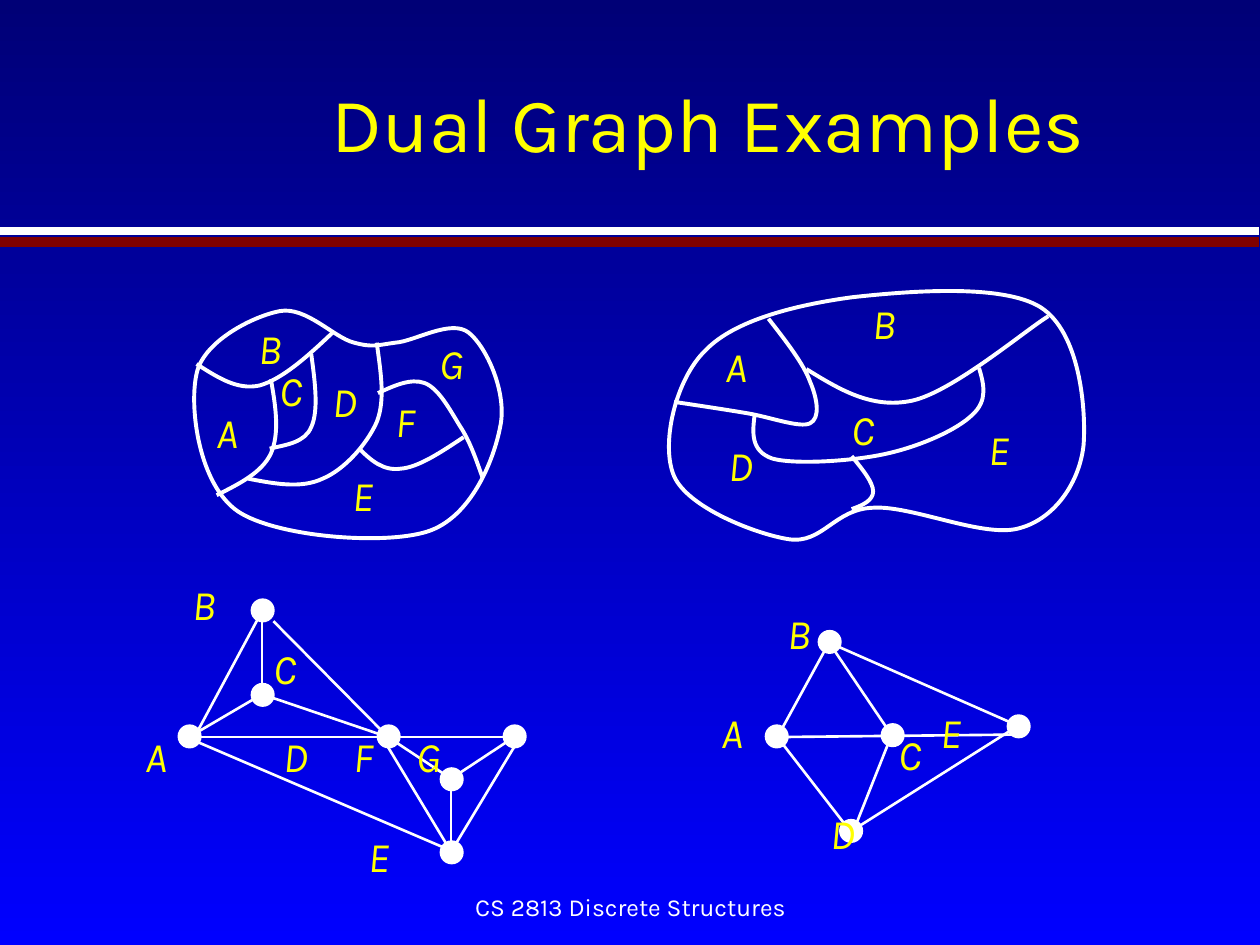
from lxml import etree
from pptx import Presentation, util as u
from pptx.dml.color import RGBColor
from pptx.enum import shapes as sh, text as tx
from pptx.oxml.ns import qn

# The slide is a grid of 1000 columns by 750 rows.
CELL = u.Inches(0.01)
COLUMNS, ROWS = 1000, 750
WHITE, YELLOW, MAROON = "FFFFFF", "FFFF00", "800000"
FONT = "Karla"
LABEL_SIZE = (40, 50)
VERTEX = 17

# Each curve is a start point followed by triples of Bezier points.
MAP_LEFT = {
    "origin": (150, 240),
    "outline": [(164, 32), (149, 34), (146, 36), (131, 32), (115, 28), (93, 3), (72, 7),
                (51, 11), (11, 31), (6, 57), (0, 84), (8, 145), (39, 166),
                (69, 186), (154, 193), (189, 182), (224, 171), (242, 125), (247, 99),
                (253, 72), (236, 35), (222, 24), (208, 13), (179, 31), (164, 32)],
    "borders": [
        [(6, 49), (22, 59), (38, 70), (56, 66), (74, 61), (94, 43), (114, 24)],
        [(65, 61), (69, 83), (72, 104), (65, 120), (58, 135), (40, 144), (22, 153)],
        [(64, 116), (78, 113), (92, 111), (97, 99), (103, 86), (100, 63), (97, 41)],
        [(47, 140), (68, 144), (89, 148), (106, 140), (123, 133), (141, 113), (149, 95),
         (156, 77), (152, 55), (149, 32)],
        [(150, 72), (163, 66), (176, 60), (187, 64), (198, 68), (207, 85), (215, 98),
         (223, 110), (228, 125), (233, 139)],
        [(135, 116), (144, 125), (154, 134), (168, 132), (182, 131), (200, 119), (218, 107)],
    ],
    "labels": {"A": (12, 78), "B": (45, 11), "C": (62, 44), "D": (104, 53),
               "E": (120, 128), "F": (154, 69), "G": (189, 23)},
}
MAP_RIGHT = {
    "origin": (520, 220),
    "outline": [(40, 58), (63, 34), (112, 22), (156, 16), (201, 11), (276, 5), (306, 24),
                (337, 44), (342, 104), (340, 133), (337, 162), (318, 191), (290, 199),
                (262, 208), (204, 181), (173, 183), (142, 184), (133, 212), (106, 208),
                (80, 204), (26, 183), (15, 158), (4, 133), (16, 81), (40, 58)],
    "borders": [
        [(15, 99), (35, 102), (55, 105), (73, 108), (91, 111), (115, 120), (123, 116),
         (131, 112), (129, 97), (123, 83), (118, 69), (104, 51), (90, 33)],
        [(120, 73), (146, 89), (172, 105), (204, 98), (236, 91), (294, 42), (312, 31)],
        [(79, 109), (77, 124), (76, 138), (93, 144), (111, 149), (158, 146), (184, 140),
         (211, 134), (240, 121), (252, 109), (264, 98), (261, 85), (257, 72)],
        [(156, 142), (165, 153), (173, 163), (173, 170), (173, 177), (165, 181), (156, 184)],
    ],
    "labels": {"A": (46, 45), "B": (163, 11), "C": (146, 95), "D": (48, 124),
               "E": (255, 111)},
}
GRAPH_LEFT = {
    "origin": (100, 450),
    "vertices": [(42, 126), (100, 26), (100, 93), (200, 126), (250, 218), (250, 160),
                 (300, 126)],
    "edges": [(50, 135, 108, 101), (108, 35, 108, 110), (50, 143, 108, 35),
              (117, 43, 208, 135), (108, 101, 208, 135), (50, 135, 308, 135),
              (208, 143, 258, 226), (208, 135, 258, 168), (308, 135, 258, 168),
              (308, 143, 258, 226), (258, 176, 258, 226), (50, 136, 260, 226)],
    "labels": {"A": (6, 125), "B": (43, 4), "C": (107, 55), "D": (115, 125),
               "E": (183, 204), "F": (171, 125), "G": (221, 125)},
}
GRAPH_RIGHT = {
    "origin": (560, 470),
    "vertices": [(48, 106), (90, 31), (140, 105), (107, 181), (240, 98)],
    "edges": [(57, 115, 98, 40), (98, 40, 146, 111), (98, 40, 248, 106),
              (55, 115, 247, 113), (147, 115, 114, 198), (57, 115, 115, 190),
              (115, 190, 248, 106)],
    "labels": {"A": (3, 86), "B": (55, 7), "C": (143, 103), "D": (89, 166),
               "E": (177, 86)},
}


def color(value):
    return RGBColor.from_string(value)


def cells(*lengths):
    return [round(length * CELL) for length in lengths]


def shift(origin, point):
    return cells(origin[0] + point[0], origin[1] + point[1])


def set_line(line, value, width):
    line.color.rgb = color(value)
    line.width = u.Pt(width)


def write(frame, words, value, align=tx.PP_ALIGN.CENTER, **format_values):
    """Fill a text frame with one formatted paragraph."""
    frame.text = words
    paragraph = frame.paragraphs[0]
    paragraph.alignment = align
    font = paragraph.runs[0].font
    font.color.rgb = color(value)
    for name, setting in {"name": FONT, **format_values}.items():
        setattr(font, name, setting)


def add_line(slide, start, end, value, width):
    connector = slide.shapes.add_connector(sh.MSO_CONNECTOR.STRAIGHT, *start, *end)
    set_line(connector.line, value, width)
    etree.SubElement(connector._element.spPr, qn("a:effectLst"))


def add_curve(slide, origin, points, close=False):
    """Draw a freeform, turning each three line segments into one Bezier segment."""
    start, *rest = [shift(origin, point) for point in points]
    builder = slide.shapes.build_freeform(*start)
    builder.add_line_segments(rest, close=close)
    curve = builder.convert_to_shape()
    segments = list(curve._element.iter(qn("a:lnTo")))
    for first in range(0, len(points) - 1, 3):
        bezier = etree.Element(qn("a:cubicBezTo"))
        segments[first].addprevious(bezier)
        for segment in segments[first:first + 3]:
            bezier.append(segment[0])
            segment.getparent().remove(segment)
    curve.fill.background()
    curve.shadow.inherit = False
    set_line(curve.line, WHITE, 2.25)


def add_labels(slide, origin, labels):
    for letter, corner in labels.items():
        box = slide.shapes.add_textbox(*shift(origin, corner), *cells(*LABEL_SIZE))
        write(box.text_frame, letter, YELLOW, tx.PP_ALIGN.LEFT, size=u.Pt(24), italic=True)


def add_map(slide, origin, outline, borders, labels):
    add_curve(slide, origin, outline, close=True)
    for border in borders:
        add_curve(slide, origin, border)
    add_labels(slide, origin, labels)


def add_graph(slide, origin, vertices, edges, labels):
    for corner in vertices:
        dot = slide.shapes.add_shape(sh.MSO_SHAPE.OVAL, *shift(origin, corner),
                                     *cells(VERTEX, VERTEX))
        dot.fill.solid()
        dot.fill.fore_color.rgb = color(WHITE)
        dot.shadow.inherit = False
        set_line(dot.line, WHITE, 1.5)
    for edge in edges:
        add_line(slide, shift(origin, edge[:2]), shift(origin, edge[2:]), WHITE, 1.5)
    add_labels(slide, origin, labels)


def add_frame(slide):
    """Set the background, rules, title and footer."""
    fill = slide.background.fill
    fill.gradient()
    fill.gradient_angle = 270
    for stop, value in zip(fill.gradient_stops, ("000076", "0000FF")):
        stop.color.rgb = color(value)
    for row, value, width in ((183, WHITE, 4.5), (192, MAROON, 6)):
        add_line(slide, cells(0, row), cells(COLUMNS - 1, row), value, width)

    title = slide.shapes.title
    title.left, title.top, title.width, title.height = cells(200, 35, 725, 123)
    title.text_frame.vertical_anchor = tx.MSO_ANCHOR.MIDDLE
    write(title.text_frame, "Dual Graph Examples", YELLOW, size=u.Pt(44))

    footer = slide.shapes.add_textbox(*cells(342, 695, 317, 50))
    footer.text_frame.vertical_anchor = tx.MSO_ANCHOR.MIDDLE
    write(footer.text_frame, "CS 2813 Discrete Structures", WHITE, size=u.Pt(14))


def main():
    deck = Presentation()
    deck.slide_width, deck.slide_height = cells(COLUMNS, ROWS)
    slide = deck.slides.add_slide(deck.slide_layouts[5])
    add_frame(slide)
    for regions in (MAP_LEFT, MAP_RIGHT):
        add_map(slide, **regions)
    for dual in (GRAPH_RIGHT, GRAPH_LEFT):
        add_graph(slide, **dual)
    deck.save("out.pptx")


if __name__ == "__main__":
    main()
